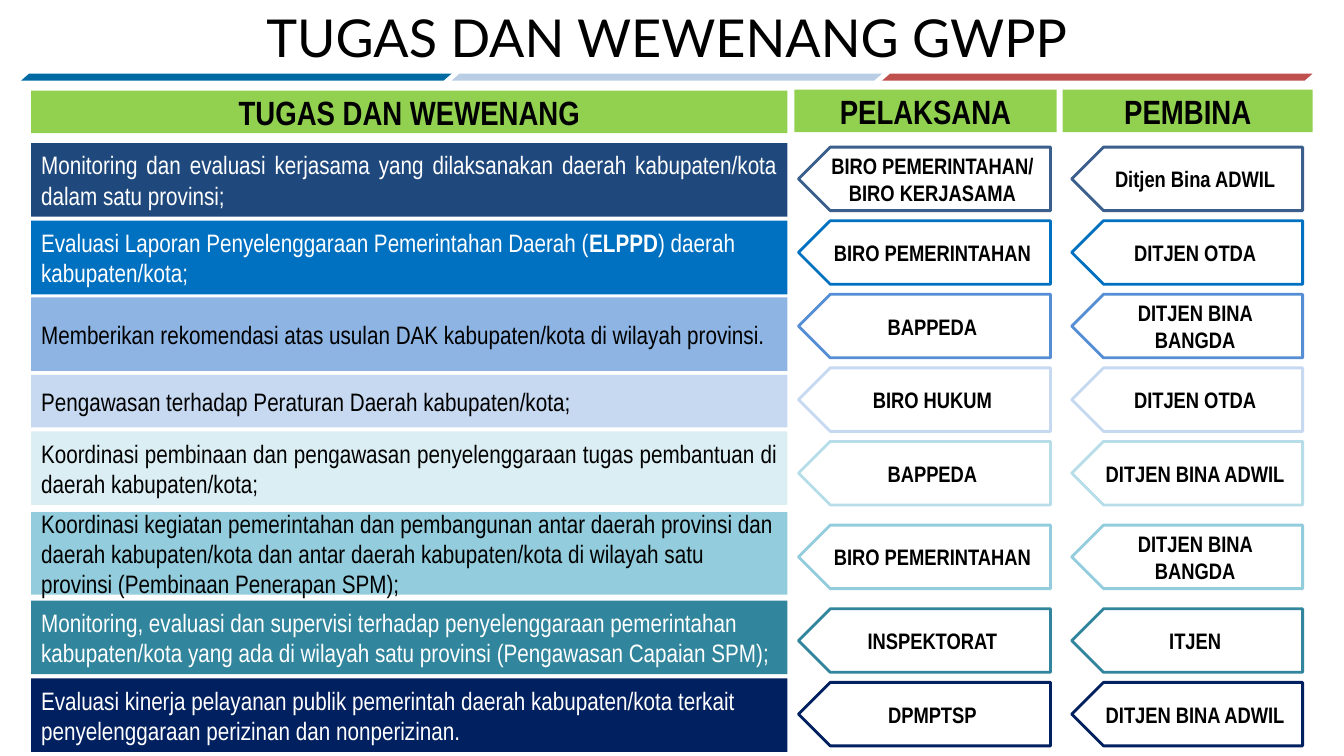
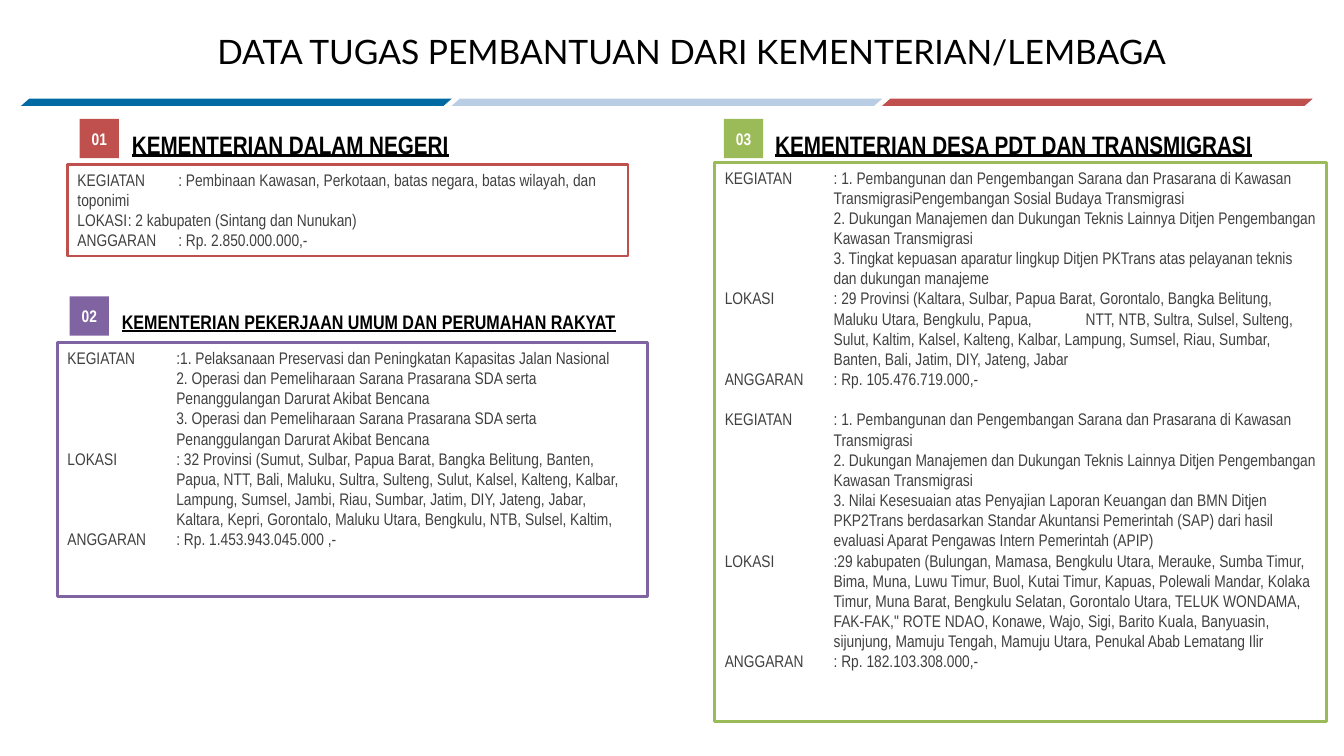
from dataclasses import dataclass
from typing import Any, NamedTuple

from pptx import Presentation
from pptx.dml.color import RGBColor
from pptx.enum.shapes import MSO_SHAPE as Kind
from pptx.enum.text import MSO_ANCHOR as Anchor, MSO_AUTO_SIZE as Fit, PP_ALIGN as Align
from pptx.oxml.ns import qn
from pptx.util import Inches, Pt

BODY, HEAD = "Arial Narrow", "Lato"
BLACK, WHITE, GREY, LIME = "000000", "FFFFFF", "404040", "92D050"
BANDS = ("016AA3", "B9CDE5", "C0504D")
HANG = 1.08


class Box(NamedTuple):
    """Left, top, width and height in inches."""

    left: float
    top: float
    wide: float
    high: float

    def emu(self) -> list[int]:
        """Give the four lengths as slide units."""
        return [Inches(side) for side in self]


@dataclass
class Style:
    """Look of one block of text."""

    size: float = 18
    ink: str = BLACK
    bold: bool = False
    line: bool = False
    face: str = BODY
    align: Any = Align.LEFT
    anchor: Any = Anchor.MIDDLE
    hang: float = 0


@dataclass
class Duty:
    """One row: a duty, who does it and who guides it."""

    text: str
    doer: str
    guide: str
    fill: str
    edge: str
    top: float
    tip: float
    high: float = 0.73
    ink: str = BLACK
    align: Any = Align.LEFT


@dataclass
class Panel:
    """One ministry: number tag, heading and framed details."""

    num: str
    name: str
    tone: str
    tag: tuple[float, float]
    head: Box
    frame: Box
    items: list[tuple[str, str]]
    size: float = 18
    hang: float = HANG
    split: int = 0


TITLE = Style(37.3, face=HEAD, align=Align.CENTER)
SUBTITLE = Style(24, face=HEAD, align=Align.CENTER)
COLUMN = Style(24, bold=True, align=Align.CENTER)
ARROW = Style(16, bold=True, align=Align.CENTER)
TAG = Style(12, WHITE, bold=True, align=Align.CENTER)

COLUMNS = (
    ("TUGAS DAN WEWENANG", Box(0.31, 0.9, 7.5, 0.42)),
    ("PELAKSANA", Box(7.88, 0.89, 2.6, 0.42)),
    ("PEMBINA", Box(10.54, 0.89, 2.48, 0.42)),
)

DUTIES = (
    Duty("Monitoring dan evaluasi kerjasama yang dilaksanakan daerah kabupaten/kota dalam satu provinsi;",
         "BIRO PEMERINTAHAN/ BIRO KERJASAMA", "Ditjen Bina ADWIL",
         "1F497D", "3A5F8C", 1.42, 1.46, ink=WHITE, align=Align.JUSTIFY),
    Duty("Evaluasi Laporan Penyelenggaraan Pemerintahan Daerah (*ELPPD*) daerah kabupaten/kota;",
         "BIRO PEMERINTAHAN", "DITJEN OTDA", "0070C0", "0070C0", 2.19, 2.19, ink=WHITE),
    Duty("Memberikan rekomendasi atas usulan DAK kabupaten/kota di wilayah provinsi.",
         "BAPPEDA", "DITJEN BINA BANGDA", "8EB4E3", "558ED5", 2.95, 2.92),
    Duty("Pengawasan terhadap Peraturan Daerah kabupaten/kota;",
         "BIRO HUKUM", "DITJEN OTDA", "C6D9F1", "C6D9F1", 3.72, 3.65, 0.52),
    Duty("Koordinasi pembinaan dan pengawasan penyelenggaraan tugas pembantuan di daerah kabupaten/kota;",
         "BAPPEDA", "DITJEN BINA ADWIL", "DBEEF4", "B7DEE8", 4.28, 4.38, align=Align.JUSTIFY),
    Duty("Koordinasi kegiatan pemerintahan dan pembangunan antar daerah provinsi dan daerah kabupaten/kota "
         "dan antar daerah kabupaten/kota di wilayah satu provinsi (Pembinaan Penerapan SPM);",
         "BIRO PEMERINTAHAN", "DITJEN BINA BANGDA", "93CDDD", "93CDDD", 5.08, 5.21, 0.82),
    Duty("Monitoring, evaluasi dan supervisi terhadap penyelenggaraan pemerintahan kabupaten/kota "
         "yang ada di wilayah satu provinsi (Pengawasan Capaian SPM);",
         "INSPEKTORAT", "ITJEN", "31859C", "31859C", 5.96, 6.04, ink=WHITE),
    Duty("Evaluasi kinerja pelayanan publik pemerintah daerah kabupaten/kota terkait "
         "penyelenggaraan perizinan dan nonperizinan.",
         "DPMPTSP", "DITJEN BINA ADWIL", "002060", "002060", 6.73, 6.77, ink=WHITE),
)

PANELS = (
    Panel("01", "KEMENTERIAN DALAM NEGERI", "C0504D", (0.79, 1.18),
          Box(1.21, 1.23, 3.43, 0.4), Box(0.67, 1.63, 5.56, 0.91), [
              ("KEGIATAN", ": Pembinaan Kawasan, Perkotaan, batas negara, batas wilayah, dan toponimi"),
              ("LOKASI", ": 2 kabupaten (Sintang dan Nunukan)"),
              ("ANGGARAN", ": Rp. 2.850.000.000,-"),
          ], hang=0),
    Panel("02", "KEMENTERIAN PEKERJAAN UMUM DAN PERUMAHAN RAKYAT", "8064A2", (0.69, 2.94),
          Box(1.11, 3.03, 5.31, 0.34), Box(0.57, 3.4, 5.85, 2.52), [
              ("KEGIATAN", ":1. Pelaksanaan Preservasi dan Peningkatan Kapasitas Jalan Nasional"),
              ("", "2. Operasi dan Pemeliharaan Sarana Prasarana SDA serta Penanggulangan Darurat Akibat Bencana"),
              ("", "3. Operasi dan Pemeliharaan Sarana Prasarana SDA serta Penanggulangan Darurat Akibat Bencana"),
              ("LOKASI", ": 32 Provinsi (Sumut, Sulbar, Papua Barat, Bangka Belitung, Banten, Papua, NTT, Bali, "
               "Maluku, Sultra, Sulteng, Sulut, Kalsel, Kalteng, Kalbar, Lampung, Sumsel, Jambi, Riau, Sumbar, "
               "Jatim, DIY, Jateng, Jabar, Kaltara, Kepri, Gorontalo, Maluku Utara, Bengkulu, NTB, Sulsel, Kaltim,"),
              ("ANGGARAN", ": Rp. 1.453.943.045.000 ,-"),
          ], size=14),
    Panel("03", "KEMENTERIAN DESA PDT DAN TRANSMIGRASI", "9BBB59", (7.18, 1.18),
          Box(7.59, 1.23, 5.05, 0.4), Box(7.09, 1.61, 6.07, 5.55), [
              ("KEGIATAN", ": 1. Pembangunan dan Pengembangan Sarana dan Prasarana di Kawasan "
               "TransmigrasiPengembangan Sosial Budaya Transmigrasi"),
              ("", "2. Dukungan Manajemen dan Dukungan Teknis Lainnya Ditjen Pengembangan Kawasan Transmigrasi"),
              ("", "3. Tingkat kepuasan aparatur lingkup Ditjen PKTrans atas pelayanan teknis "
               "dan dukungan manajeme"),
              ("LOKASI", ": 29 Provinsi (Kaltara, Sulbar, Papua Barat, Gorontalo, Bangka Belitung, Maluku Utara, "
               "Bengkulu, Papua, \tNTT, NTB, Sultra, Sulsel, Sulteng, Sulut, Kaltim, Kalsel, Kalteng, Kalbar, "
               "Lampung, Sumsel, Riau, Sumbar, Banten, Bali, Jatim, DIY, Jateng, Jabar"),
              ("ANGGARAN", ": Rp. 105.476.719.000,-"),
              ("KEGIATAN", ": 1. Pembangunan dan Pengembangan Sarana dan Prasarana di Kawasan Transmigrasi"),
              ("", "2. Dukungan Manajemen dan Dukungan Teknis Lainnya Ditjen Pengembangan Kawasan Transmigrasi"),
              ("", "3. Nilai Kesesuaian atas Penyajian Laporan Keuangan dan BMN Ditjen PKP2Trans berdasarkan "
               "Standar Akuntansi Pemerintah (SAP) dari hasil evaluasi Aparat Pengawas Intern Pemerintah (APIP)"),
              ("LOKASI", ":29 kabupaten (Bulungan, Mamasa, Bengkulu Utara, Merauke, Sumba Timur, Bima, Muna, "
               "Luwu Timur, Buol, Kutai Timur, Kapuas, Polewali Mandar, Kolaka Timur, Muna Barat, "
               "Bengkulu Selatan, Gorontalo Utara, TELUK WONDAMA, FAK-FAK,\" ROTE NDAO, Konawe, Wajo, Sigi, "
               "Barito Kuala, Banyuasin, sijunjung, Mamuju Tengah, Mamuju Utara, Penukal Abab Lematang Ilir"),
              ("ANGGARAN", ": Rp. 182.103.308.000,-"),
          ], split=5),
)


def put(item: Any, **values: Any) -> None:
    """Set each named attribute on the item."""
    for name, value in values.items():
        setattr(item, name, value)


def tint(hue: str) -> RGBColor:
    """Turn a hex string into a colour."""
    return RGBColor.from_string(hue)


def write(shape: Any, lines: list[str], style: Style, split: int = 0) -> None:
    """Fill a shape with paragraphs; text between asterisks is bold."""
    frame = shape.text_frame
    put(frame, word_wrap=True, auto_size=Fit.NONE, vertical_anchor=style.anchor)
    for row, line in enumerate(lines):
        para = frame.add_paragraph() if row else frame.paragraphs[0]
        para.alignment = style.align
        if style.hang:
            props = para._p.get_or_add_pPr()
            props.set("marL", str(Inches(style.hang)))
            props.set("indent", str(-Inches(style.hang)))
        if split and row == split:
            para.space_before = Pt(14.4)
        for part, words in enumerate(line.split("*")):
            run = para.add_run()
            run.text = words
            put(run.font, name=style.face, size=Pt(style.size),
                bold=style.bold or part % 2 == 1, underline=style.line)
            run.font.color.rgb = tint(style.ink)


def draw(shapes: Any, kind: Any, box: Box, fill: str, edge: str = "") -> Any:
    """Add a flat shape with a fill and, if given, an outline."""
    shape = shapes.add_shape(kind, *box.emu())
    shape.shadow.inherit = False
    shape.fill.solid()
    shape.fill.fore_color.rgb = tint(fill)
    if edge:
        shape.line.color.rgb = tint(edge)
        shape.line.width = Pt(2)
    else:
        shape.line.fill.background()
    return shape


def start(deck: Any, title: str, box: Box, style: Style, top: float) -> Any:
    """Add a slide with its title and the three-part band."""
    slide = deck.slides.add_slide(deck.slide_layouts[5])
    left, high, wide, tall = box.emu()
    head = slide.shapes.title
    put(head, left=left, top=high, width=wide, height=tall)
    write(head, [title], style)
    group = slide.shapes.add_group_shape()
    for col, hue in enumerate(BANDS):
        band = draw(group.shapes, Kind.PARALLELOGRAM, Box(0.21 + 4.27 * col, top, 4.27, 0.07), hue)
        band.adjustments[0] = 1.14
    return slide.shapes


def point(shapes: Any, text: str, box: Box, edge: str) -> None:
    """Draw a left-pointing label."""
    arrow = draw(shapes, Kind.PENTAGON, box, WHITE, edge)
    arrow._element.spPr.find(qn("a:xfrm")).set("flipH", "1")
    write(arrow, [text], ARROW)


def duties(deck: Any) -> None:
    """Build the slide of duties and offices."""
    shapes = start(deck, "TUGAS DAN WEWENANG GWPP", Box(0.94, 0, 11.35, 0.73), TITLE, 0.73)
    for name, box in COLUMNS:
        write(draw(shapes, Kind.RECTANGLE, box, LIME), [name], COLUMN)
    for duty in DUTIES:
        bar = draw(shapes, Kind.RECTANGLE, Box(0.31, duty.top, 7.5, duty.high), duty.fill)
        write(bar, [duty.text], Style(ink=duty.ink, align=duty.align))
        point(shapes, duty.doer, Box(7.92, duty.tip, 2.5, 0.63), duty.edge)
        point(shapes, duty.guide, Box(10.63, duty.tip, 2.29, 0.63), duty.edge)


def grants(deck: Any) -> None:
    """Build the slide of ministry panels."""
    shapes = start(deck, "DATA TUGAS PEMBANTUAN DARI KEMENTERIAN/LEMBAGA",
                   Box(0.37, -0.01, 12.98, 1.04), SUBTITLE, 0.98)
    for panel in PANELS:
        frame = draw(shapes, Kind.RECTANGLE, panel.frame, WHITE, panel.tone)
        lines = [f"{label}\t{text}" for label, text in panel.items]
        write(frame, lines, Style(12, GREY, anchor=Anchor.TOP, hang=panel.hang), panel.split)
        tag = draw(shapes, Kind.RECTANGLE, Box(*panel.tag, 0.39, 0.39), panel.tone)
        write(tag, [panel.num], TAG)
        head = shapes.add_textbox(*panel.head.emu())
        write(head, [panel.name], Style(panel.size, bold=True, line=True, anchor=Anchor.TOP))


def main() -> None:
    """Build and save the deck."""
    deck = Presentation()
    put(deck, slide_width=Inches(13.33), slide_height=Inches(7.5))
    duties(deck)
    grants(deck)
    deck.save("out.pptx")


if __name__ == "__main__":
    main()
